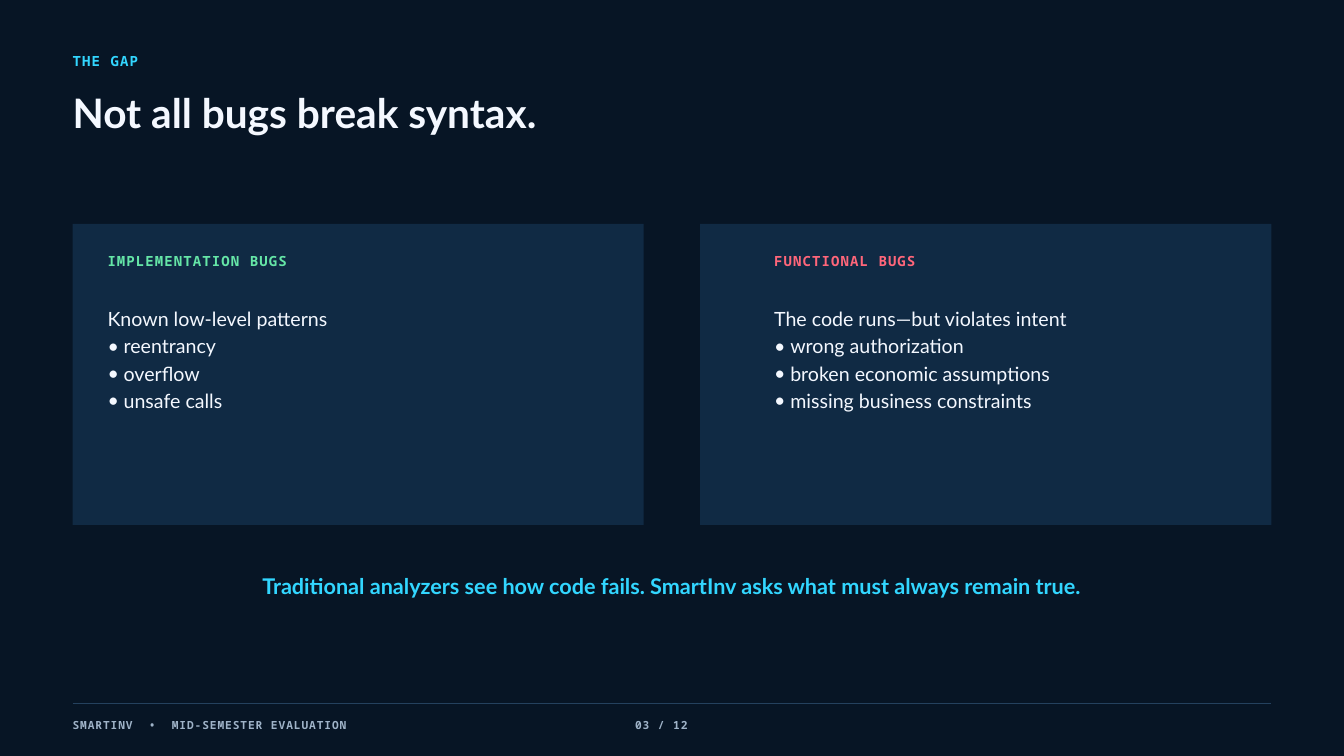
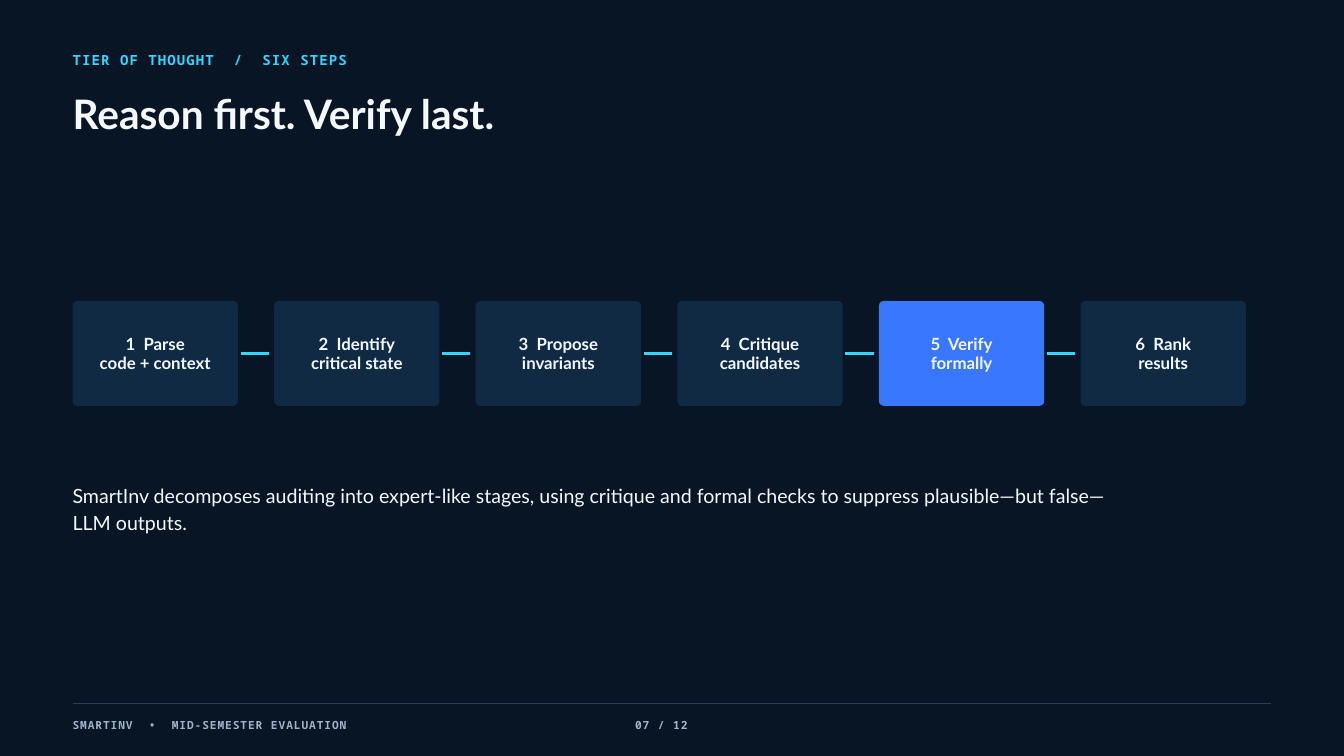
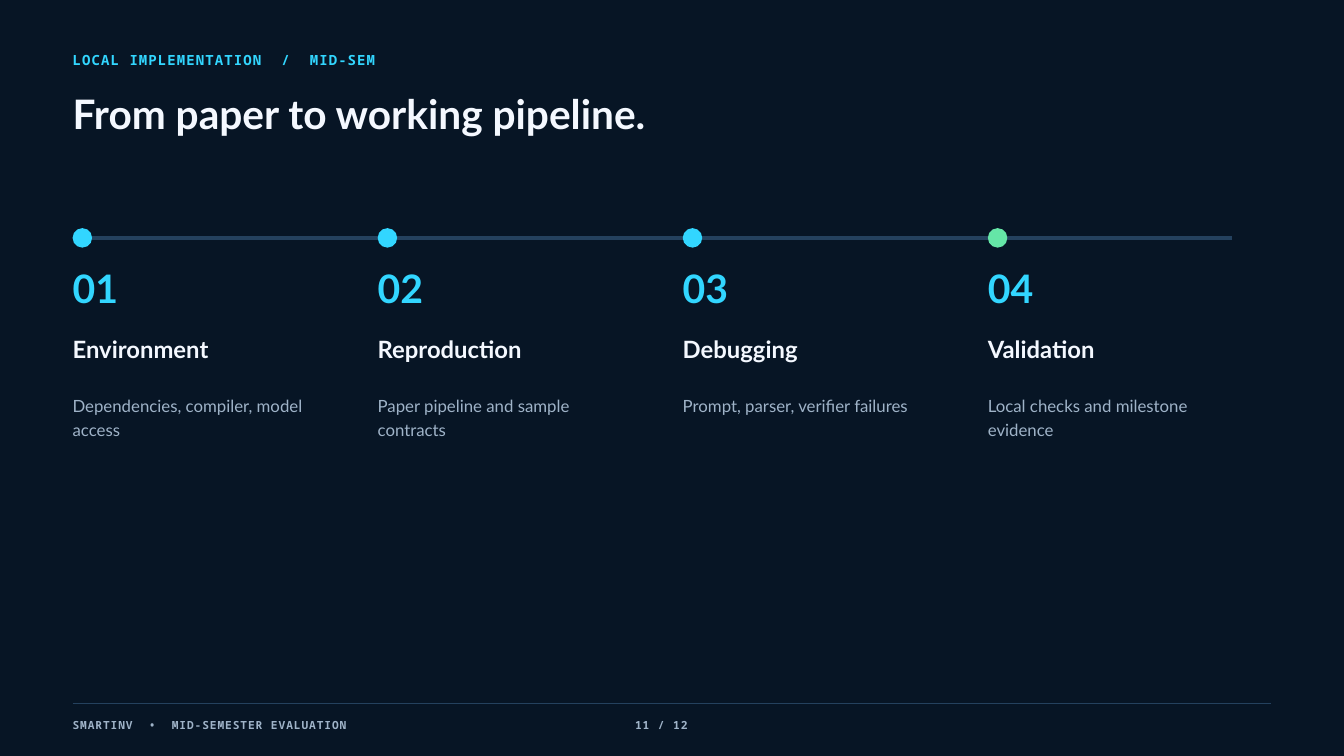
import dataclasses

import lxml.etree
import pptx
import pptx.dml.color
import pptx.enum.shapes
import pptx.enum.text
import pptx.oxml.ns
import pptx.shapes.autoshape
import pptx.slide
import pptx.text.text
import pptx.util

Inches = pptx.util.Inches
Color = pptx.dml.color.RGBColor
Shape = pptx.enum.shapes.MSO_SHAPE
Align = pptx.enum.text.PP_ALIGN
Anchor = pptx.enum.text.MSO_ANCHOR

NIGHT = Color(0x07, 0x15, 0x25)
NAVY = Color(0x10, 0x2A, 0x44)
STEEL = Color(0x24, 0x41, 0x5E)
CYAN = Color(0x32, 0xD6, 0xFF)
BLUE = Color(0x39, 0x77, 0xFF)
GREEN = Color(0x65, 0xE6, 0xA7)
RED = Color(0xFF, 0x66, 0x7A)
WHITE = Color(0xF4, 0xF8, 0xFF)
GREY = Color(0x9F, 0xB3, 0xC8)

SANS = "Lato"
MONO = "Noto Sans Mono"
LEFT = 1.08
RIGHT = 18.92
WIDTH = RIGHT - LEFT


@dataclasses.dataclass
class Card:
    head: str
    color: Color
    lines: list[str]
    left: float
    inset: float


@dataclasses.dataclass
class Step:
    lines: list[str]
    fill: Color = NAVY


@dataclasses.dataclass
class Phase:
    name: str
    detail: str
    color: Color = CYAN


CARDS = [
    Card("IMPLEMENTATION BUGS", GREEN,
         ["Known low-level patterns", "reentrancy", "overflow", "unsafe calls"],
         LEFT, 0.52),
    Card("FUNCTIONAL BUGS", RED,
         ["The code runs—but violates intent", "wrong authorization",
          "broken economic assumptions", "missing business constraints"],
         10.42, 1.1),
]

STEPS = [
    Step(["1  Parse", "code + context"]),
    Step(["2  Identify", "critical state"]),
    Step(["3  Propose", "invariants"]),
    Step(["4  Critique", "candidates"]),
    Step(["5  Verify", "formally"], BLUE),
    Step(["6  Rank", "results"]),
]

PHASES = [
    Phase("Environment", "Dependencies, compiler, model access"),
    Phase("Reproduction", "Paper pipeline and sample contracts"),
    Phase("Debugging", "Prompt, parser, verifier failures"),
    Phase("Validation", "Local checks and milestone evidence", GREEN),
]


def add_tag(parent: lxml.etree._Element, tag: str, **attrs: str) -> lxml.etree._Element:
    return lxml.etree.SubElement(parent, pptx.oxml.ns.qn(tag), attrs)


def write(frame: pptx.text.text.TextFrame, lines: list[str], *, size: float,
          lead: float, color: Color = WHITE, font: str = SANS, bold: bool = False,
          align: Align = Align.LEFT, anchor: Anchor = Anchor.TOP, pad: float = 0,
          track: float = 0, tab: float = 0, listed: bool = False) -> None:
    frame.word_wrap = True
    frame.auto_size = pptx.enum.text.MSO_AUTO_SIZE.NONE
    frame.vertical_anchor = anchor
    frame.margin_left = frame.margin_right = Inches(pad)
    frame.margin_top = frame.margin_bottom = Inches(pad)
    for index, line in enumerate(lines):
        para = frame.add_paragraph() if index else frame.paragraphs[0]
        props = para._p.get_or_add_pPr()
        if listed and index:
            indent = Inches(0.24)
            props.set("marL", str(indent))
            props.set("indent", str(-indent))
            add_tag(props, "a:buFont", typeface=font)
            add_tag(props, "a:buChar", char="•")
        if tab:
            stops = add_tag(props, "a:tabLst")
            add_tag(stops, "a:tab", pos=str(Inches(tab)), algn="l")
        para.alignment = align
        para.line_spacing = pptx.util.Pt(lead)
        run = para.add_run()
        run.text = line
        run.font.size = pptx.util.Pt(size)
        run.font.name = font
        run.font.bold = bold
        run.font.color.rgb = color
        if track:
            run._r.get_or_add_rPr().set("spc", str(round(track * 100)))


def add_text(slide: pptx.slide.Slide, left: float, top: float, width: float,
             height: float, *lines: str, **style) -> None:
    box = slide.shapes.add_textbox(
        Inches(left), Inches(top), Inches(width), Inches(height))
    write(box.text_frame, list(lines), **style)


def add_label(slide: pptx.slide.Slide, left: float, top: float, text: str,
              color: Color = CYAN) -> None:
    add_text(slide, left, top, 6.88, 0.28, text, size=15, lead=21, color=color,
             font=MONO, bold=True, track=1.2)


def add_block(slide: pptx.slide.Slide, kind: Shape, left: float, top: float,
              width: float, height: float, fill: Color) -> pptx.shapes.autoshape.Shape:
    block = slide.shapes.add_shape(
        kind, Inches(left), Inches(top), Inches(width), Inches(height))
    block.shadow.inherit = False
    block.fill.solid()
    block.fill.fore_color.rgb = fill
    block.line.fill.background()
    return block


def add_rule(slide: pptx.slide.Slide, left: float, right: float, top: float,
             color: Color, weight: float) -> None:
    rule = slide.shapes.add_connector(
        pptx.enum.shapes.MSO_CONNECTOR.STRAIGHT,
        Inches(left), Inches(top), Inches(right), Inches(top))
    rule.line.color.rgb = color
    rule.line.width = pptx.util.Pt(weight)
    add_tag(rule._element.spPr, "a:effectLst")


def add_page(deck: pptx.presentation.Presentation, number: int, label: str,
             title: str, label_top: float = 0.72,
             title_top: float = 1.4) -> pptx.slide.Slide:
    slide = deck.slides.add_slide(deck.slide_layouts[5])
    head = slide.shapes.title
    head.left, head.top = Inches(LEFT), Inches(title_top)
    head.width, head.height = Inches(15.62), Inches(0.76)
    write(head.text_frame, [title], size=43.5, lead=47, bold=True)
    add_label(slide, LEFT, label_top, label)
    add_rule(slide, LEFT, RIGHT, 10.46, STEEL, 0.75)
    add_text(slide, LEFT, 10.65, WIDTH, 0.22,
             f"SMARTINV  •  MID-SEMESTER EVALUATION\t{number:02} / 12",
             size=12, lead=16.8, color=GREY, font=MONO, bold=True, track=1, tab=8.37)
    return slide


def draw_gap(deck: pptx.presentation.Presentation) -> None:
    slide = add_page(deck, 3, "THE GAP", "Not all bugs break syntax.", 0.74, 1.38)
    for card in CARDS:
        add_block(slide, Shape.RECTANGLE, card.left, 3.33, 8.5, 4.48, NAVY)
        left = card.left + card.inset
        add_label(slide, left, 3.72, card.head, card.color)
        add_text(slide, left, 4.52, 6.88, 1.57, *card.lines, size=21, lead=29,
                 listed=True)
    add_text(slide, 3.12, 8.57, 13.75, 0.41,
             "Traditional analyzers see how code fails. "
             "SmartInv asks what must always remain true.",
             size=23.2, lead=25.1, color=CYAN, bold=True, align=Align.CENTER)


def draw_steps(deck: pptx.presentation.Presentation) -> None:
    slide = add_page(deck, 7, "TIER OF THOUGHT  /  SIX STEPS",
                     "Reason first. Verify last.")
    pitch, width, height, top = 3, 2.46, 1.56, 4.48
    for index, step in enumerate(STEPS):
        left = LEFT + index * pitch
        block = add_block(slide, Shape.ROUNDED_RECTANGLE, left, top, width, height,
                          step.fill)
        block.adjustments[0] = 0.07 / height
        write(block.text_frame, step.lines, size=18, lead=20.7, bold=True,
              align=Align.CENTER, anchor=Anchor.MIDDLE, pad=0.06)
        if index < len(STEPS) - 1:
            add_rule(slide, left + 2.5, left + 2.92, top + height / 2, CYAN, 3)
    add_text(slide, LEFT, 7.15, 15.62, 0.78,
             "SmartInv decomposes auditing into expert-like stages, using critique "
             "and formal checks to suppress plausible—but false—LLM outputs.",
             size=21, lead=29)


def draw_phases(deck: pptx.presentation.Presentation) -> None:
    slide = add_page(deck, 11, "LOCAL IMPLEMENTATION  /  MID-SEM",
                     "From paper to working pipeline.")
    pitch, dot, axis = 4.54, 0.29, 3.54
    add_rule(slide, LEFT, 18.33, axis, STEEL, 3.75)
    for index, phase in enumerate(PHASES):
        left = LEFT + index * pitch
        add_block(slide, Shape.OVAL, left, axis - dot / 2, dot, dot, phase.color)
        add_text(slide, left, 4.05, 1.04, 0.71, f"{index + 1:02}", size=42, lead=42,
                 color=CYAN, bold=True)
        add_text(slide, left, 5.03, 3.65, 0.44, phase.name, size=25.5, lead=27.5,
                 bold=True)
        add_text(slide, left, 5.85, 3.65, 0.67, phase.detail, size=18, lead=24.8,
                 color=GREY)


def main() -> None:
    deck = pptx.Presentation()
    deck.slide_width = Inches(20)
    deck.slide_height = Inches(11.25)
    ground = deck.slide_master.background.fill
    ground.solid()
    ground.fore_color.rgb = NIGHT
    draw_gap(deck)
    draw_steps(deck)
    draw_phases(deck)
    deck.save("out.pptx")


if __name__ == "__main__":
    main()
